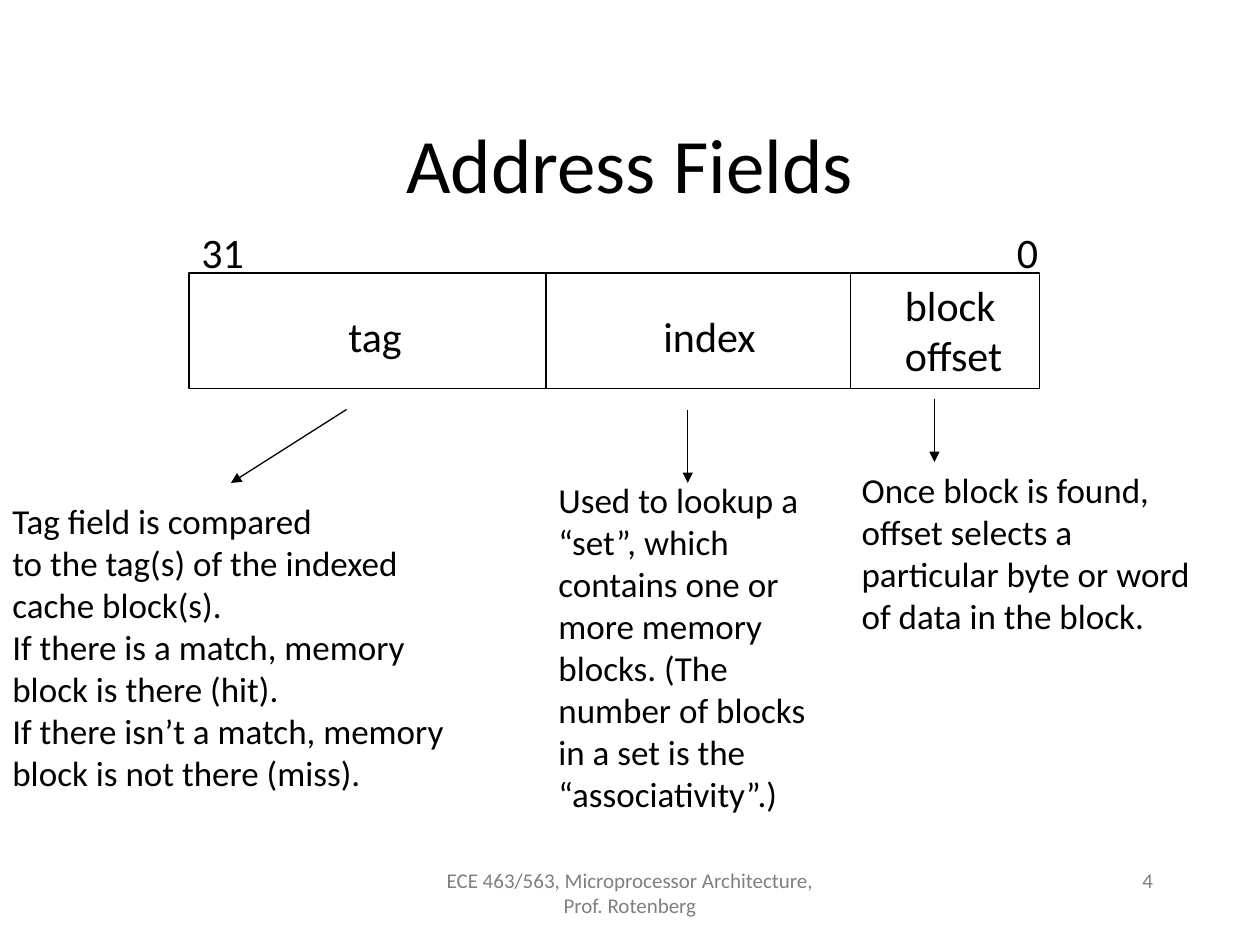
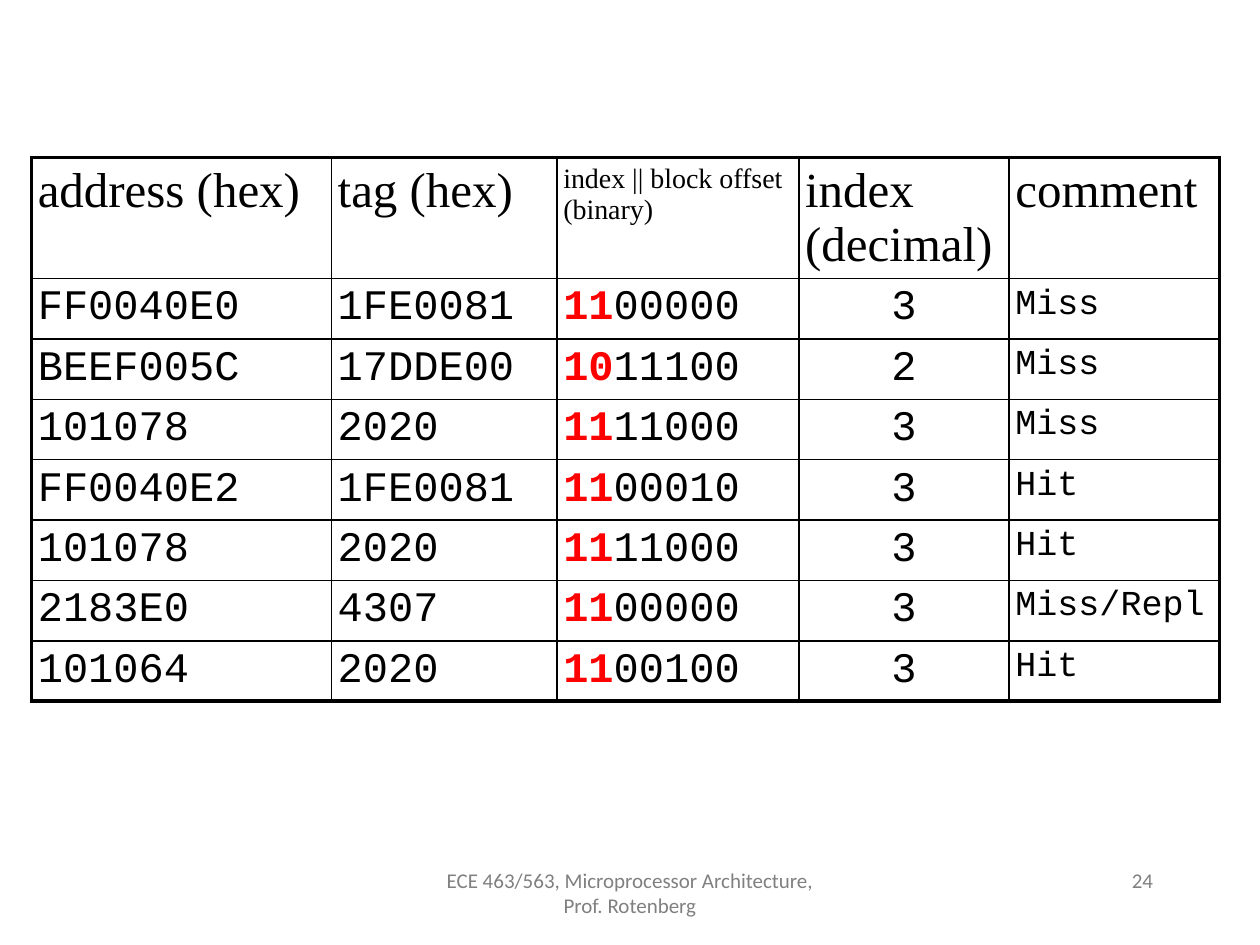
from dataclasses import dataclass

from lxml.etree import SubElement
from pptx import Presentation
from pptx.dml.color import RGBColor
from pptx.enum.shapes import MSO_CONNECTOR, MSO_SHAPE
from pptx.enum.text import MSO_ANCHOR, MSO_AUTO_SIZE, PP_ALIGN
from pptx.oxml import parse_xml
from pptx.oxml.ns import nsdecls, qn
from pptx.slide import Slide
from pptx.table import _Cell as Cell
from pptx.text.text import _Run as Run
from pptx.util import Pt


@dataclass(frozen=True)
class Theme:
    ink: str = "000000"
    mark: str = "FF0000"
    grey: str = "808080"
    sans: str = "Calibri"
    serif: str = "Times New Roman"
    mono: str = "Courier New"
    title: int = 44
    head: int = 28
    field: int = 24
    note: int = 20
    small: int = 16
    foot: int = 12
    thin: float = 0.75
    rule: float = 1
    frame: float = 2.25


THEME = Theme()


@dataclass(frozen=True)
class Label:
    box: tuple[float, float, float, float]
    text: str
    size: int = THEME.field
    color: str = THEME.ink
    align: PP_ALIGN = PP_ALIGN.LEFT
    anchor: MSO_ANCHOR = MSO_ANCHOR.TOP
    wrap: bool = False
    grow: bool = True


@dataclass(frozen=True)
class Line:
    start: tuple[float, float]
    end: tuple[float, float]
    arrow: bool = False


@dataclass(frozen=True)
class Access:
    address: str
    tag: str
    index: str
    offset: str
    result: str


FOOTER = "ECE 463/563, Microprocessor Architecture, Prof. Rotenberg"

# Address word: left, top, width, height, and the splits between its fields
WORD = (108, 156, 486, 66)
SPLITS = (312, 486)

LABELS = (
    Label((574, 126, 26.6, 36.7), "0"),
    Label((108, 126, 39, 36.7), "31"),
    Label((510, 156, 71.3, 65.5), "block\noffset"),
    Label((372, 174, 67.7, 36), "index"),
    Label((192, 174, 45.4, 36.7), "tag"),
    Label((0, 282, 263.5, 181.4),
          "Tag field is compared\nto the tag(s) of the indexed\ncache block(s).\n"
          "If there is a match, memory\nblock is there (hit).\n"
          "If there isn’t a match, memory\nblock is not there (miss).", THEME.note),
    Label((312, 270, 174, 201),
          "Used to lookup a “set”, which contains one or more memory blocks. "
          "(The number of blocks in a set is the “associativity”.)",
          THEME.note, wrap=True),
    Label((485.3, 264, 203.8, 104.4),
          "Once block is found,\noffset selects a\nparticular byte or word\n"
          "of data in the block.", THEME.note),
)

ARROWS = (
    Line((198, 234), (132, 276), True),
    Line((393, 234), (393, 276), True),
    Line((534, 228), (534, 264), True),
)

HEADS = ("address (hex)", "tag (hex)", "index || block offset (binary)",
         "index (decimal)", "comment")
WIDTHS = (171.4, 128.9, 138.2, 120.2, 120.2)
HEAD_ROW, BODY_ROW = 69, 34.5

TRACE = (
    Access("FF0040E0", "1FE0081", "11", "00000", "Miss"),
    Access("BEEF005C", "17DDE00", "10", "11100", "Miss"),
    Access("101078", "2020", "11", "11000", "Miss"),
    Access("FF0040E2", "1FE0081", "11", "00010", "Hit"),
    Access("101078", "2020", "11", "11000", "Hit"),
    Access("2183E0", "4307", "11", "00000", "Miss/Repl"),
    Access("101064", "2020", "11", "00100", "Hit"),
)


def style(run: Run, size: int, color: str, face: str = THEME.sans,
          bold: bool = False) -> None:
    run.font.size = Pt(size)
    run.font.name = face
    run.font.bold = bold
    run.font.color.rgb = RGBColor.from_string(color)


def add_label(slide: Slide, label: Label) -> None:
    frame = slide.shapes.add_textbox(*map(Pt, label.box)).text_frame
    frame.text = label.text
    frame.word_wrap = label.wrap
    frame.vertical_anchor = label.anchor
    frame.auto_size = (MSO_AUTO_SIZE.SHAPE_TO_FIT_TEXT if label.grow
                       else MSO_AUTO_SIZE.NONE)
    for para in frame.paragraphs:
        para.alignment = label.align
        for run in para.runs:
            style(run, label.size, label.color)


def add_line(slide: Slide, line: Line) -> None:
    link = slide.shapes.add_connector(
        MSO_CONNECTOR.STRAIGHT, *map(Pt, line.start + line.end))
    link.line.width = Pt(THEME.thin)
    link.line.color.rgb = RGBColor.from_string(THEME.ink)
    if line.arrow:
        SubElement(link.line._get_or_add_ln(), qn("a:tailEnd"), type="triangle")
    SubElement(link._element.spPr, qn("a:effectLst"))


def add_footer(slide: Slide, page: int) -> None:
    for box, text, align in (
        ((246, 492, 228, 36), FOOTER, PP_ALIGN.CENTER),
        ((516, 492, 150, 36), str(page), PP_ALIGN.RIGHT),
    ):
        add_label(slide, Label(box, text, THEME.foot, THEME.grey, align,
                               wrap=True, grow=False))


def add_word(slide: Slide) -> None:
    """Draw the 32-bit address box and the lines between its fields."""
    word = slide.shapes.add_shape(MSO_SHAPE.RECTANGLE, *map(Pt, WORD))
    word.shadow.inherit = False
    word.fill.background()
    word.line.width = Pt(THEME.thin)
    word.line.color.rgb = RGBColor.from_string(THEME.ink)
    top, base = WORD[1], WORD[1] + WORD[3]
    for left in SPLITS:
        add_line(slide, Line((left, top), (left, base)))


def set_edges(cell: Cell, outer: dict[str, bool]) -> None:
    """Rule all four sides, with the heavy frame on the outer ones."""
    props = cell._tc.get_or_add_tcPr()
    for spot, (side, heavy) in enumerate(outer.items()):
        width = Pt(THEME.frame if heavy else THEME.rule)
        props.insert(spot, parse_xml(
            f'<a:ln{side} {nsdecls("a")} w="{width}"><a:solidFill>'
            f'<a:srgbClr val="{THEME.ink}"/></a:solidFill></a:ln{side}>'))


def fill_cell(cell: Cell, row: int, col: int) -> None:
    para = cell.text_frame.paragraphs[0]
    if row == 0:
        para.text = HEADS[col]
        size = THEME.small if col == 2 else THEME.head
        style(para.runs[0], size, THEME.ink, THEME.serif)
        return
    item = TRACE[row - 1]
    if col == 2:
        for text, color, bold in ((item.index, THEME.mark, True),
                                  (item.offset, THEME.ink, False)):
            run = para.add_run()
            run.text = text
            style(run, THEME.field, color, THEME.mono, bold)
        return
    para.text = {0: item.address, 1: item.tag,
                 3: str(int(item.index, 2)), 4: item.result}[col]
    para.alignment = PP_ALIGN.CENTER if col == 3 else PP_ALIGN.LEFT
    size = THEME.note if col == 4 else THEME.field
    style(para.runs[0], size, THEME.ink, THEME.mono)


def add_trace(slide: Slide) -> None:
    rows, cols = len(TRACE) + 1, len(HEADS)
    high = HEAD_ROW + BODY_ROW * len(TRACE)
    grid = slide.shapes.add_table(
        rows, cols, Pt(18), Pt(90), Pt(sum(WIDTHS)), Pt(high)).table
    grid.first_row = grid.horz_banding = False
    for col, width in enumerate(WIDTHS):
        grid.columns[col].width = Pt(width)
    for row in range(rows):
        grid.rows[row].height = Pt(BODY_ROW if row else HEAD_ROW)
        for col in range(cols):
            cell = grid.cell(row, col)
            cell.margin_left = cell.margin_right = Pt(3.6)
            cell.margin_top = cell.margin_bottom = Pt(3.6)
            cell.fill.background()
            set_edges(cell, {"L": col == 0, "R": col == cols - 1,
                             "T": row == 0, "B": row == rows - 1})
            fill_cell(cell, row, col)


def main() -> None:
    deck = Presentation()
    deck.slide_width, deck.slide_height = Pt(720), Pt(540)
    blank = deck.slide_layouts[6]

    fields = deck.slides.add_slide(blank)
    add_label(fields, Label((54, 48, 612, 90), "Address Fields", THEME.title,
                            align=PP_ALIGN.CENTER, anchor=MSO_ANCHOR.MIDDLE,
                            wrap=True, grow=False))
    add_word(fields)
    for label in LABELS:
        add_label(fields, label)
    for arrow in ARROWS:
        add_line(fields, arrow)
    add_footer(fields, 4)

    trace = deck.slides.add_slide(blank)
    add_trace(trace)
    add_footer(trace, 24)

    deck.save("out.pptx")


if __name__ == "__main__":
    main()
